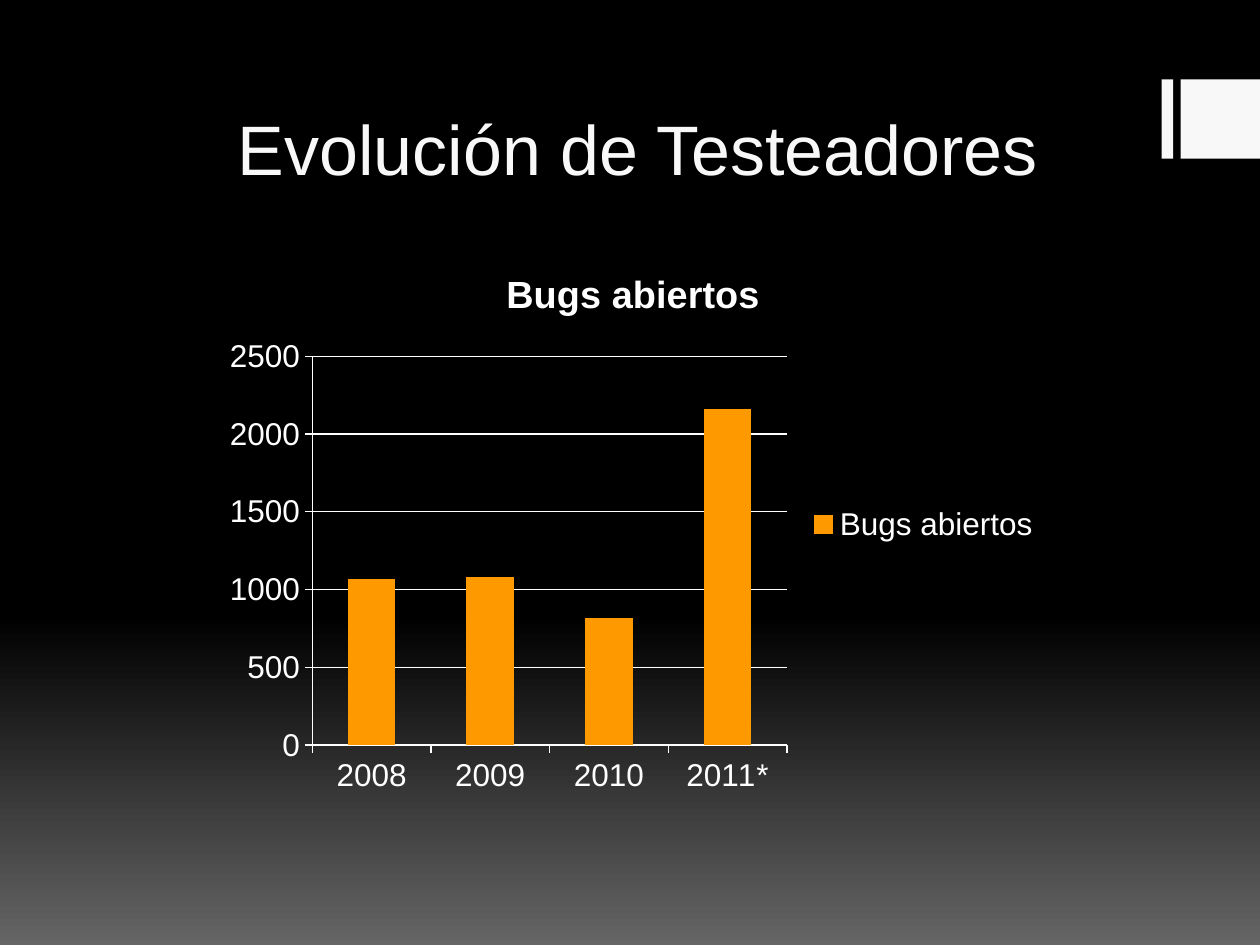
from copy import deepcopy

from pptx import Presentation
from pptx.chart.data import CategoryChartData
from pptx.dml.color import RGBColor
from pptx.enum.chart import XL_CHART_TYPE as CT, XL_LEGEND_POSITION as LP, XL_TICK_MARK as TM
from pptx.enum.shapes import MSO_SHAPE as MS
from pptx.enum.text import MSO_ANCHOR as MA, PP_ALIGN as PA
from pptx.oxml.ns import qn
from pptx.util import Inches, Pt

W, H = Inches(10), Inches(7.5)
FONT = "Arial"
WHITE, PALE, ORANGE, BLACK, GREY = "FFFFFF", "F8F8F8", "FF9900", "000000", "656565"


def rgb(color):
    return RGBColor.from_string(color)


def box(x, y, w, h):
    return round(x * W), round(y * H), round(w * W), round(h * H)


def style(font, size, color, bold=False):
    font.name, font.size, font.bold = FONT, Pt(size), bold
    font.color.rgb = rgb(color)


def add_background(s):
    fill = s.background.fill
    fill.gradient()
    fill.gradient_angle = 270
    stops = s.element.find(".//" + qn("a:gsLst"))
    stops.insert(1, deepcopy(stops[0]))
    for stop, pos, color in zip(fill.gradient_stops, (0, 0.65, 1), (BLACK, BLACK, GREY)):
        stop.position = pos
        stop.color.rgb = rgb(color)


def add_block(s, x, y, w, h):
    sp = s.shapes.add_shape(MS.RECTANGLE, *box(x, y, w, h))
    sp.shadow.inherit = False
    sp.fill.solid()
    sp.fill.fore_color.rgb = rgb(PALE)
    sp.line.fill.background()


def add_title(s, text, x, y, w, h):
    tf = s.shapes.add_textbox(*box(x, y, w, h)).text_frame
    tf.word_wrap = True
    tf.vertical_anchor = MA.BOTTOM
    p = tf.paragraphs[0]
    p.alignment = PA.CENTER
    r = p.add_run()
    r.text = text
    style(r.font, 40, PALE)


def style_axis(axis):
    axis.major_tick_mark, axis.minor_tick_mark = TM.OUTSIDE, TM.NONE
    axis.format.line.color.rgb = rgb(WHITE)
    axis.format.line.width = Pt(0.75)
    style(axis.tick_labels.font, 18, WHITE)


def add_bar_chart(s, name, cats, vals, x, y, w, h):
    data = CategoryChartData()
    data.categories = cats
    data.add_series(name, vals)
    chart = s.shapes.add_chart(CT.COLUMN_CLUSTERED, *box(x, y, w, h), data).chart
    style(chart.font, 18, WHITE)

    chart.has_title = True
    r = chart.chart_title.text_frame.paragraphs[0].add_run()
    r.text = name
    style(r.font, 21.6, WHITE, True)

    chart.has_legend = True
    chart.legend.position = LP.RIGHT
    chart.legend.include_in_layout = False
    style(chart.legend.font, 18, WHITE)

    style_axis(chart.category_axis)
    va = chart.value_axis
    style_axis(va)
    va.minimum_scale, va.maximum_scale, va.major_unit = 0, 2500, 500
    va.has_major_gridlines = True
    va.major_gridlines.format.line.color.rgb = rgb(WHITE)
    va.major_gridlines.format.line.width = Pt(0.75)

    plot = chart.plots[0]
    plot.gap_width = 150
    plot.vary_by_categories = False
    bars = plot.series[0].format.fill
    bars.solid()
    bars.fore_color.rgb = rgb(ORANGE)


def main():
    prs = Presentation()
    prs.slide_width, prs.slide_height = W, H
    s = prs.slides.add_slide(prs.slide_layouts[6])
    add_background(s)
    for x, w in ((0.922, 0.009), (0.937, 0.063)):
        add_block(s, x, 0.084, w, 0.084)
    add_title(s, "Evolución de Testeadores", 0.106, 0.039, 0.8, 0.168)
    add_bar_chart(s, "Bugs abiertos", ("2008", "2009", "2010", "2011*"),
                  (1070, 1080, 820, 2160), 0.169, 0.259, 0.667, 0.592)
    prs.save("out.pptx")


if __name__ == "__main__":
    main()
